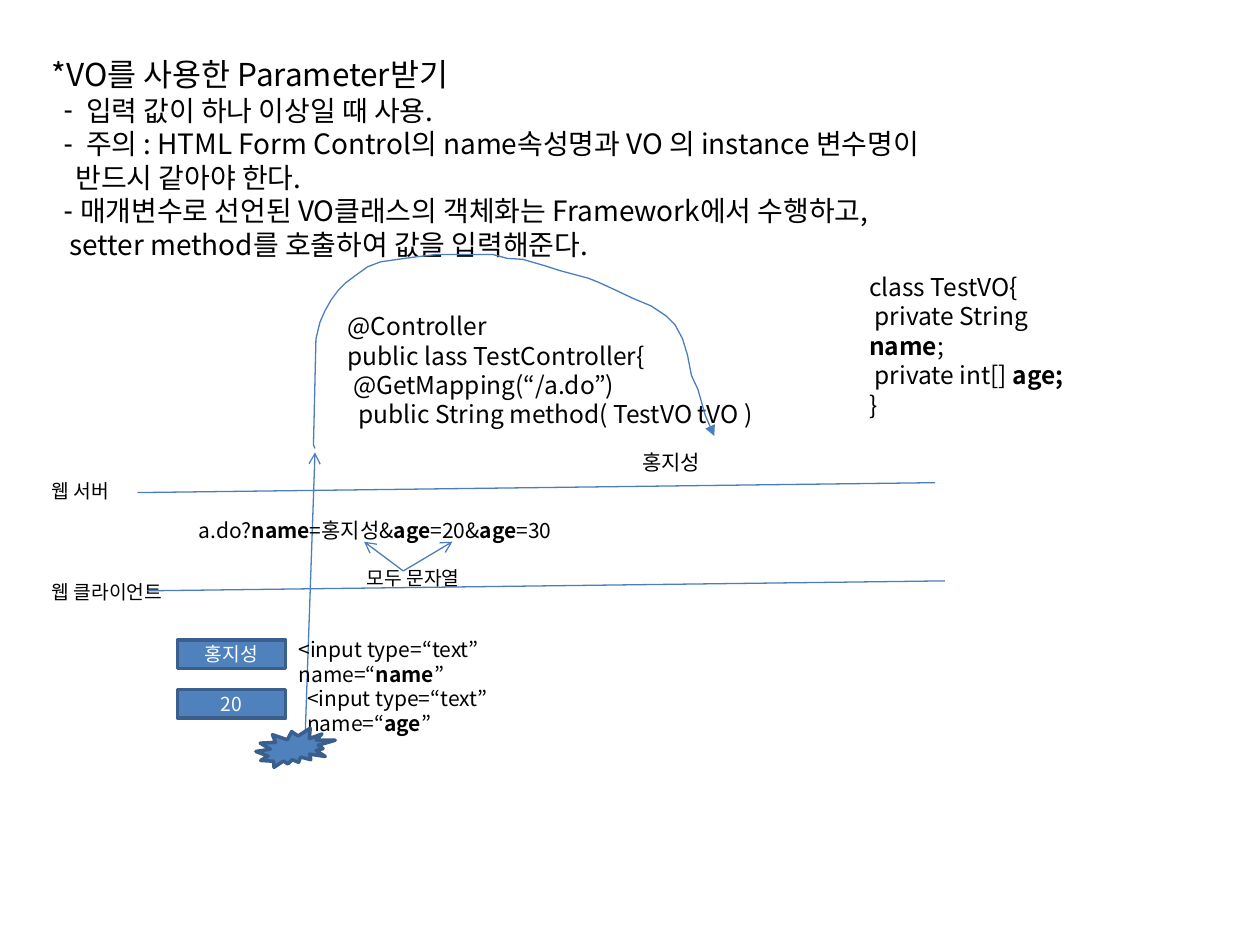
from collections import namedtuple

from lxml import etree
from pptx import Presentation
from pptx import util as u
from pptx.dml.color import RGBColor
from pptx.enum import shapes, text
from pptx.oxml import ns

COLORS = {"ink": "000000", "white": "FFFFFF", "fill": "4F81BD",
          "edge": "3A5F8C", "line": "4B7EBC"}
FONT = "Noto Sans CJK KR"
Box = namedtuple("Box", "left top width height")

HEADING_LINES = [
    ("입력 값이 하나 이상일 때 사용.", 0.69, 0.45),
    ("주의 : HTML Form Control의 name속성명과 VO 의 instance 변수명이", 0.69, 0.45),
    ("반드시 같아야 한다.", 0.48, 0),
    ("매개변수로 선언된 VO클래스의 객체화는 Framework에서 수행하고,", 0.57, 0.33),
    ("setter method를 호출하여 값을 입력해준다.", 0.36, 0),
]
CONTROLLER_CODE = ["@Controller", "public lass TestController{",
                   " @GetMapping(“/a.do”)", "  public String method( TestVO tVO )"]
VO_CODE = ["class TestVO{", " private String |name|;", " private int[] |age;", "}"]
FLOW_POINTS = [
    (0.03, 3.91), (0, 3.84), (0.05, 1.7), (0.13, 1.37), (0.23, 1.14), (0.36, 0.91),
    (0.51, 0.71), (0.64, 0.58), (0.84, 0.43), (1.09, 0.25), (1.35, 0.15), (1.7, 0.1),
    (2.06, 0.05), (2.49, 0), (3.61, 0), (3.91, 0.08), (4.22, 0.1), (4.67, 0.23),
    (4.98, 0.33), (5.54, 0.48), (5.74, 0.56), (6.07, 0.71), (6.45, 0.89),
    (6.81, 1.04), (7.11, 1.24), (7.29, 1.42), (7.44, 1.7), (7.54, 2.03),
    (7.62, 2.44), (7.75, 2.72), (7.9, 3.25), (8.08, 3.66),
]


def color(name):
    return RGBColor.from_string(COLORS[name])


def lengths(box):
    return [u.Cm(value) for value in box]


def style_paragraph(para, size, ink="ink", align=text.PP_ALIGN.LEFT):
    para.alignment = align
    para.space_before = u.Pt(0)
    para.line_spacing = u.Pt(size * 1.2)
    para.font.size = u.Pt(size)
    para.font.color.rgb = color(ink)
    para.font.name = FONT
    east_asian = etree.SubElement(para._p.pPr.find(ns.qn("a:defRPr")), ns.qn("a:ea"))
    east_asian.set("typeface", FONT)


def add_text(page, box, lines, size):
    frame = page.shapes.add_textbox(*lengths(box)).text_frame
    frame.word_wrap = True
    for index, line in enumerate(lines):
        para = frame.add_paragraph() if index else frame.paragraphs[0]
        for part, words in enumerate(line.split("|")):
            if words:
                span = para.add_run()
                span.text = words
                if part % 2:
                    span.font.bold = True
        style_paragraph(para, size)


def style_line(shape, head=None):
    shape.line.color.rgb = color("line")
    shape.line.width = u.Pt(0.75)
    if head:
        outline = shape._element.spPr.find(ns.qn("a:ln"))
        etree.SubElement(outline, ns.qn("a:tailEnd")).set("type", head)


def add_line(page, start, end, head=None):
    line = page.shapes.add_connector(shapes.MSO_CONNECTOR.STRAIGHT, *lengths(start + end))
    style_line(line, head)
    etree.SubElement(line._element.spPr, ns.qn("a:effectLst"))


def add_filled(page, kind, box):
    shape = page.shapes.add_shape(kind, *lengths(box))
    shape.shadow.inherit = False
    shape.fill.solid()
    shape.fill.fore_color.rgb = color("fill")
    shape.line.color.rgb = color("edge")
    shape.line.width = u.Pt(2)
    return shape


def place_holder(holder, box):
    holder.left, holder.top, holder.width, holder.height = lengths(box)
    frame = holder.text_frame
    frame.word_wrap = True
    frame.auto_size = text.MSO_AUTO_SIZE.NONE
    frame.vertical_anchor = text.MSO_ANCHOR.TOP
    return frame


def heading(page, box):
    title, body = page.placeholders
    frame = place_holder(title, Box(box.left, box.top, box.width, 0.91))
    frame.text = "*VO를 사용한 Parameter받기"
    style_paragraph(frame.paragraphs[0], 18)
    frame = place_holder(body, Box(box.left, box.top + 0.76, box.width, box.height - 0.76))
    for index, (words, margin, hang) in enumerate(HEADING_LINES):
        para = frame.add_paragraph() if index else frame.paragraphs[0]
        para.text = words
        properties = para._p.get_or_add_pPr()
        properties.set("marL", str(u.Cm(margin)))
        properties.set("indent", str(-u.Cm(hang)))
        bullet = etree.SubElement(properties, ns.qn("a:buChar" if hang else "a:buNone"))
        if hang:
            bullet.set("char", "-")
        style_paragraph(para, 16)


def boundary(page, box, label, label_width, start):
    add_text(page, Box(box.left, box.top, label_width, 0.74), [label], 11)
    x, y = box.left + start[0], box.top + start[1]
    add_line(page, (x, y), (x + box.width, y - box.height))


def input_form(page, box):
    tag_lefts = (2.19, 2.36)
    fields = (("홍지성", "name"), ("20", "age"))
    add_line(page, (box.left + 2.57, box.top + 2.18), (box.left + 2.77, box.top - 3.58), "arrow")
    for row, (value, name) in enumerate(fields):
        top = box.top + row
        field = add_filled(page, shapes.MSO_SHAPE.RECTANGLE,
                           Box(box.left, top + 0.2, 2.18, 0.58))
        field.text_frame.text = value
        field.text_frame.vertical_anchor = text.MSO_ANCHOR.MIDDLE
        style_paragraph(field.text_frame.paragraphs[0], 11, "white", text.PP_ALIGN.CENTER)
        add_text(page, Box(box.left + tag_lefts[row], top, box.width - 2.19, 0.76),
                 [f"<input type=“text” name=“|{name}|”"], 12)
    add_filled(page, shapes.MSO_SHAPE.EXPLOSION2,
               Box(box.left + 1.58, box.top + 1.98, 1.6, 0.79))


def request(page, box):
    add_text(page, Box(box.left, box.top, box.width, 0.76),
             ["a.do?|name|=홍지성&|age|=20&|age|=30"], 12)
    for x in (3.58, 5.36):
        add_line(page, (box.left + 4.37, box.top + 1.2), (box.left + x, box.top + 0.61), "arrow")
    add_text(page, Box(box.left + 3.38, box.top + 0.99, 2.62, 0.74), ["모두 문자열"], 11)


def controller(page, box):
    add_text(page, Box(box.left + 0.44, box.top + 1.02, 8.94, 3.25), CONTROLLER_CODE, 14)
    add_text(page, Box(box.left + 6.38, box.top + 3.81, 1.8, 0.76), ["홍지성"], 12)
    add_text(page, Box(box.left + 10.95, box.top + 0.23, 4.57, 2.64), VO_CODE, 14)
    points = [(u.Cm(box.left + x), u.Cm(box.top + y)) for x, y in FLOW_POINTS]
    builder = page.shapes.build_freeform(*points[0])
    builder.add_line_segments(points[1:], close=False)
    flow = builder.convert_to_shape()
    flow.shadow.inherit = False
    flow.fill.background()
    style_line(flow, "triangle")


def main():
    deck = Presentation()
    deck.slide_width, deck.slide_height = u.Cm(25.4), u.Cm(19.05)
    page = deck.slides.add_slide(deck.slide_layouts[1])
    heading(page, Box(0.79, 0.99, 19.43, 5.13))
    boundary(page, Box(0.79, 9.53, 16.08, 0.2), "웹 서버", 1.83, (1.98, 0.4))
    boundary(page, Box(0.79, 11.58, 16.08, 0.2), "웹 클라이언트", 3, (2.18, 0.33))
    input_form(page, Box(3.58, 12.7, 8.54, 2.77))
    request(page, Box(3.76, 10.31, 7.92, 1.73))
    controller(page, Box(6.32, 5.13, 15.52, 4.57))
    deck.save("out.pptx")


if __name__ == "__main__":
    main()
